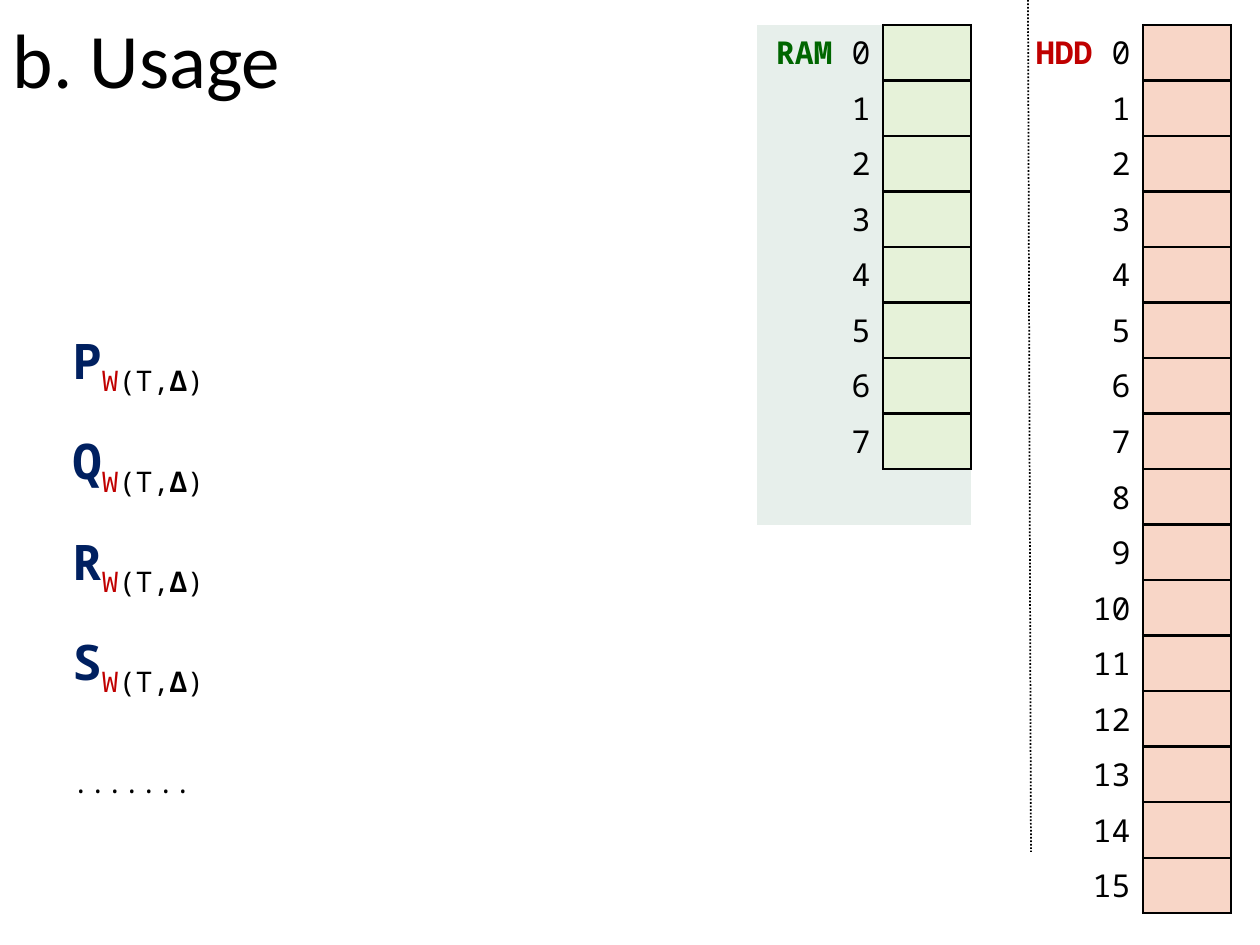
from lxml import etree
from pptx import Presentation
from pptx import util as u
from pptx.dml.color import RGBColor
from pptx.enum import dml, shapes, text
from pptx.oxml.ns import qn

PX = u.Inches(1) / 126
BLACK = RGBColor(0, 0, 0)
WHITE = RGBColor(0xFF, 0xFF, 0xFF)
RED = RGBColor(0xC0, 0, 0)
GREEN = RGBColor(0, 0x66, 0)
NAVY = RGBColor(0, 0x20, 0x60)
DISK_FILL = RGBColor(0xF8, 0xD6, 0xC7)
RAM_FILL = RGBColor(0xE6, 0xF2, 0xD9)
RAM_BACK = RGBColor(0xE7, 0xEF, 0xEB)
MONO = "Noto Sans Mono"
NO_STYLE = "{2D5ABB26-0587-4C30-8999-92F81FD0307C}"
ROW_H = 52


def px(*values):
    return [u.Emu(round(v * PX)) for v in values]


def add_run(p, words, size=18, color=BLACK, bold=False, font=MONO, base=0):
    r = p.add_run()
    r.text = words
    r.font.size = u.Pt(size)
    r.font.color.rgb = color
    r.font.bold = bold
    r.font.name = font
    if base:
        r.font._element.set("baseline", str(base * 1000))


def set_borders(cell, sides):
    tc_pr = cell._tc.get_or_add_tcPr()
    for side in sides:
        ln = etree.SubElement(tc_pr, qn(f"a:ln{side}"), w=str(u.Pt(1.5)))
        fill = etree.SubElement(ln, qn("a:solidFill"))
        etree.SubElement(fill, qn("a:srgbClr"), val=str(BLACK))


def fill_cell(cell, color):
    cell.fill.solid()
    cell.fill.fore_color.rgb = color


def add_memory(s, left, name, color, count, back, slot_fill, footer=False):
    rows = count + footer
    frame = s.shapes.add_table(rows, 2, *px(left, 25, 214, rows * ROW_H))
    table = frame.table
    table.first_row = table.horz_banding = False
    table._tbl.tblPr.find(qn("a:tableStyleId")).text = NO_STYLE
    for column, width in zip(table.columns, px(126, 88)):
        column.width = width
    for i in range(count):
        label, slot = table.cell(i, 0), table.cell(i, 1)
        label.vertical_anchor = text.MSO_ANCHOR.MIDDLE
        p = label.text_frame.paragraphs[0]
        p.alignment = text.PP_ALIGN.RIGHT
        if i == 0:
            add_run(p, name, color=color, bold=True)
        add_run(p, str(i) if i else " 0")
        set_borders(label, "R")
        set_borders(slot, "LRT" if footer and i == count - 1 else "LRTB")
        fill_cell(label, back)
        fill_cell(slot, slot_fill)
    if footer:
        table.rows[count].height = px(56)[0]
        table.cell(count, 0).merge(table.cell(count, 1))
        fill_cell(table.cell(count, 0), back)


def add_divider(s):
    line = s.shapes.add_connector(shapes.MSO_CONNECTOR.STRAIGHT, *px(1028, 0, 1031, 852))
    line.line.color.rgb = BLACK
    line.line.width = u.Pt(1)
    line.line.dash_style = dml.MSO_LINE.ROUND_DOT
    etree.SubElement(line._element.spPr, qn("a:effectLst"))


def add_processes(s):
    tf = s.shapes.add_textbox(*px(60, 291, 164, 488)).text_frame
    tf.word_wrap = True
    tf.auto_size = text.MSO_AUTO_SIZE.SHAPE_TO_FIT_TEXT
    for i, name in enumerate(["P", "Q", "R", "S", None]):
        p = tf.add_paragraph() if i else tf.paragraphs[0]
        p.line_spacing = 1.5
        if name is None:
            add_run(p, ".......", size=28, base=-25)
            continue
        add_run(p, name, size=28, color=NAVY, bold=True)
        add_run(p, "W", size=28, color=RED, base=-25)
        add_run(p, "(T,", size=28, base=-25)
        add_run(p, "Δ", size=28, bold=True, base=-25)
        add_run(p, ")", size=28, base=-25)


def add_title(s, words):
    sp = s.shapes.title
    sp.left, sp.top, sp.width, sp.height = px(0, -2, 1260, 131)
    tf = sp.text_frame
    tf.vertical_anchor = text.MSO_ANCHOR.MIDDLE
    p = tf.paragraphs[0]
    p.alignment = text.PP_ALIGN.LEFT
    p.line_spacing = 0.9
    add_run(p, words, size=44, font="Calibri")
    s.shapes._spTree.append(sp._element)


def main():
    prs = Presentation()
    prs.slide_width, prs.slide_height = px(1260, 945)
    s = prs.slides.add_slide(prs.slide_layouts[5])
    add_memory(s, 1017, "HDD", RED, 16, WHITE, DISK_FILL)
    add_memory(s, 757, "RAM", GREEN, 8, RAM_BACK, RAM_FILL, footer=True)
    add_divider(s)
    add_processes(s)
    add_title(s, "b. Usage")
    prs.save("out.pptx")


if __name__ == "__main__":
    main()
